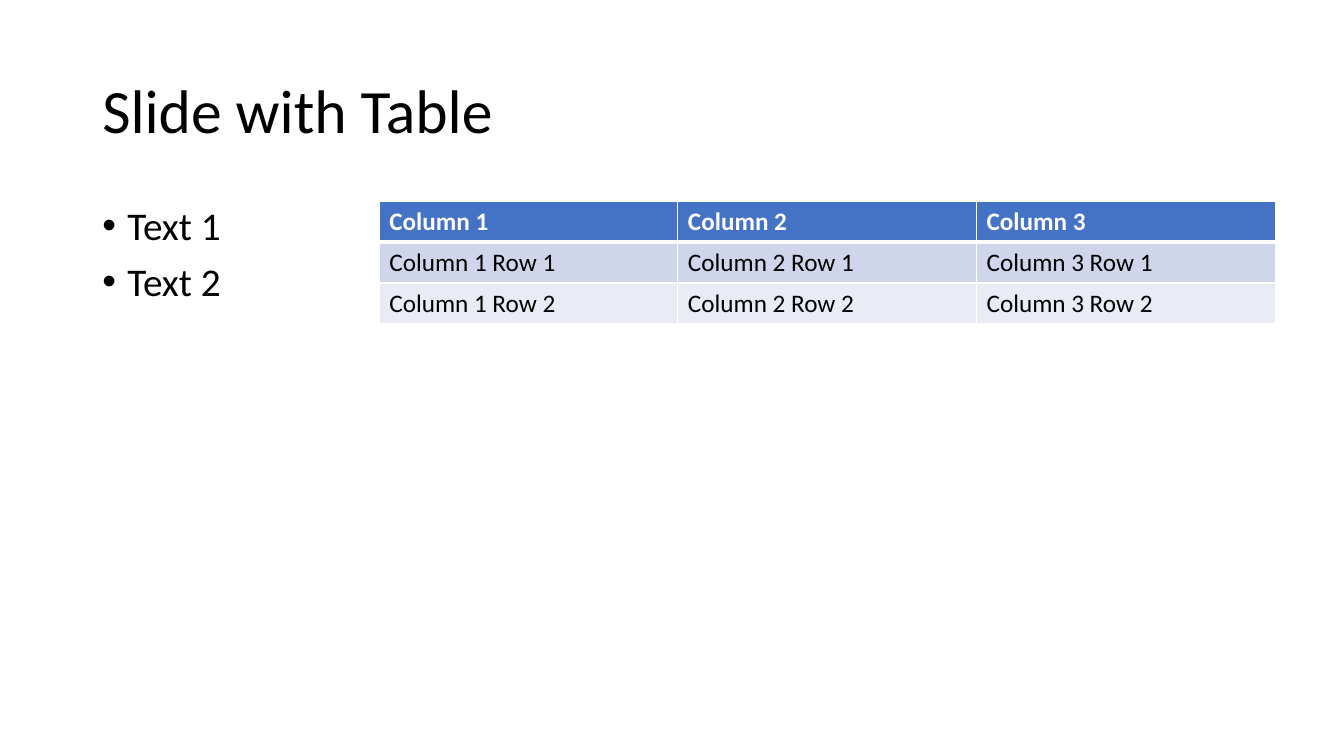
from dataclasses import dataclass

from lxml import etree
from pptx import Presentation
from pptx.dml.color import RGBColor
from pptx.enum.text import MSO_ANCHOR
from pptx.oxml.ns import qn
from pptx.util import Pt

TOP, MIDDLE = MSO_ANCHOR.TOP, MSO_ANCHOR.MIDDLE


@dataclass(frozen=True)
class Theme:
    font: str = "Calibri"
    ink: str = "000000"
    white: str = "FFFFFF"
    header: str = "4472C4"
    bands: tuple[str, str] = ("CFD5EA", "E9EBF5")
    title_size: int = 44
    body_size: int = 28
    table_size: int = 18
    rule: int = 1
    header_rule: int = 3


@dataclass(frozen=True)
class Box:
    left: float
    top: float
    width: float
    height: float

    def emu(self) -> tuple[Pt, Pt, Pt, Pt]:
        return Pt(self.left), Pt(self.top), Pt(self.width), Pt(self.height)


@dataclass(frozen=True)
class TextBlock:
    box: Box
    lines: tuple[str, ...]
    size: int
    anchor: MSO_ANCHOR = TOP
    bulleted: bool = False


THEME = Theme()
BULLET_INDENT = 18
BLOCKS = (
    TextBlock(Box(66, 28.75, 828, 104.4), ("Slide with Table",), THEME.title_size, MIDDLE),
    TextBlock(Box(66, 143.75, 257, 342.6), ("Text 1", "Text 2"), THEME.body_size, bulleted=True),
)
TABLE_BOX = Box(270.9, 143.75, 640, 87.6)
COLUMNS = [f"Column {c}" for c in range(1, 4)]
ROWS = [COLUMNS] + [[f"{name} Row {r}" for name in COLUMNS] for r in range(1, 3)]


def style_font(p, size: int, color: str, bold: bool = False) -> None:
    p.font.name = THEME.font
    p.font.size = Pt(size)
    p.font.bold = bold
    p.font.color.rgb = RGBColor.from_string(color)


def add_bullet(p) -> None:
    pPr = p._p.get_or_add_pPr()
    pPr.set("marL", str(Pt(BULLET_INDENT)))
    pPr.set("indent", str(-Pt(BULLET_INDENT)))
    font = etree.Element(qn("a:buFont"), typeface="Arial")
    char = etree.Element(qn("a:buChar"), char="•")
    # Bullets sit after spacing and before the default run properties
    pPr.find(qn("a:defRPr")).addprevious(font)
    font.addnext(char)


def add_text(s, block: TextBlock) -> None:
    tf = s.shapes.add_textbox(*block.box.emu()).text_frame
    tf.word_wrap = True
    tf.vertical_anchor = block.anchor
    for i, line in enumerate(block.lines):
        p = tf.paragraphs[0] if i == 0 else tf.add_paragraph()
        p.text = line
        p.line_spacing = 0.9
        style_font(p, block.size, THEME.ink)
        if block.bulleted:
            p.space_before = Pt(10)
            add_bullet(p)


def add_borders(cell, top: int, bottom: int) -> None:
    tcPr = cell._tc.get_or_add_tcPr()
    widths = {"lnL": THEME.rule, "lnR": THEME.rule, "lnT": top, "lnB": bottom}
    for side, width in widths.items():
        ln = etree.SubElement(tcPr, qn(f"a:{side}"), w=str(Pt(width)))
        fill = etree.SubElement(ln, qn("a:solidFill"))
        etree.SubElement(fill, qn("a:srgbClr"), val=THEME.white)


def add_grid(s, box: Box, rows: list[list[str]]) -> None:
    table = s.shapes.add_table(len(rows), len(rows[0]), *box.emu()).table
    for r, texts in enumerate(rows):
        is_header = r == 0
        fill = THEME.header if is_header else THEME.bands[(r - 1) % 2]
        top = THEME.header_rule if r == 1 else THEME.rule
        bottom = THEME.header_rule if is_header else THEME.rule
        for c, text in enumerate(texts):
            cell = table.cell(r, c)
            add_borders(cell, top, bottom)
            cell.fill.solid()
            cell.fill.fore_color.rgb = RGBColor.from_string(fill)
            p = cell.text_frame.paragraphs[0]
            p.text = text
            style_font(p, THEME.table_size, THEME.white if is_header else THEME.ink, is_header)


def main() -> None:
    prs = Presentation()
    prs.slide_width, prs.slide_height = Pt(960), Pt(540)
    s = prs.slides.add_slide(prs.slide_layouts[6])

    # Title and bullet list
    for block in BLOCKS:
        add_text(s, block)

    # Table
    add_grid(s, TABLE_BOX, ROWS)

    prs.save("out.pptx")


if __name__ == "__main__":
    main()
